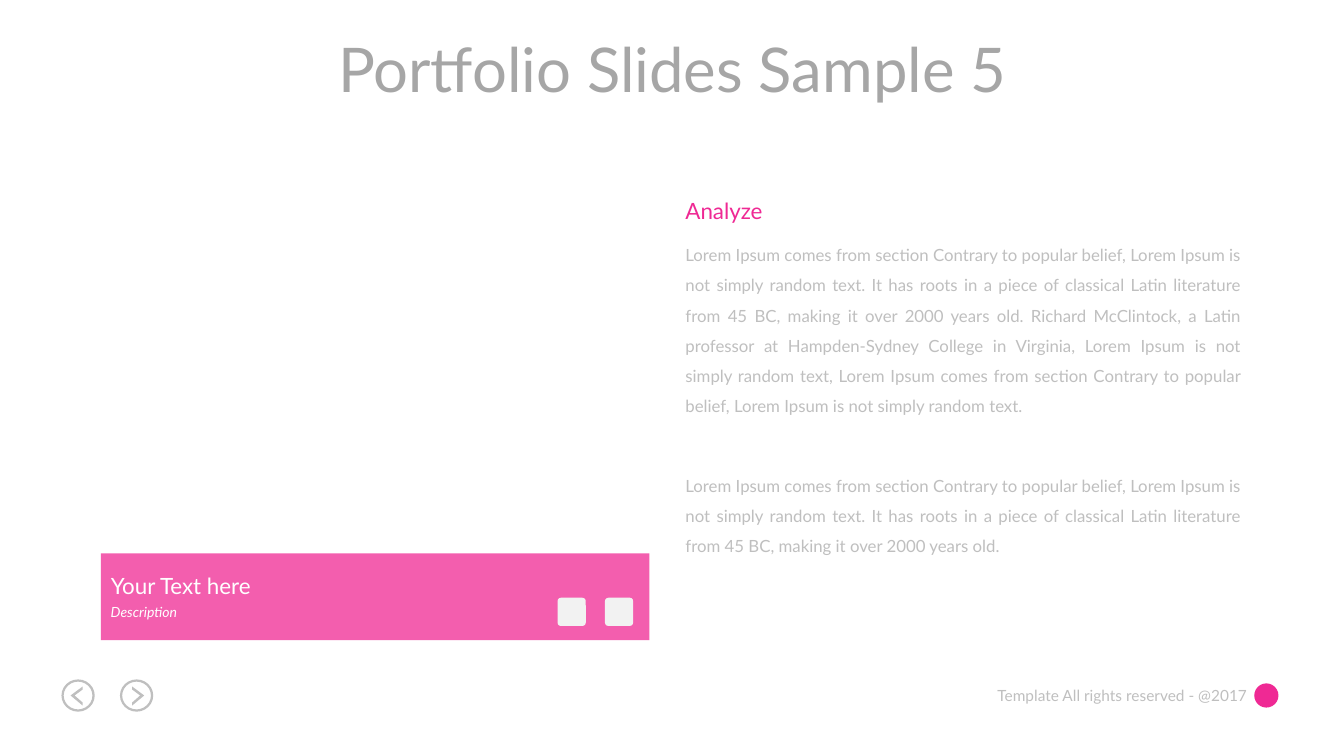
from lxml.etree import SubElement
from pptx import Presentation
from pptx.dml.color import RGBColor
from pptx.enum.shapes import MSO_SHAPE as Preset
from pptx.enum.text import MSO_ANCHOR as Anchor, MSO_AUTO_SIZE as AutoSize, PP_ALIGN as Align
from pptx.oxml.ns import qn
from pptx.util import Inches, Pt

PINK, WHITE, PALE = "EF2994", "FFFFFF", "F2F2F2"
SILVER, GRAY = "BFBFBF", "A6A6A6"
OPENING = (
    "Lorem Ipsum comes from section Contrary to popular belief, Lorem Ipsum is not simply "
    "random text. It has roots in a piece of classical Latin literature from 45 BC, "
    "making it over 2000 years old."
)
CONTINUATION = (
    " Richard McClintock, a Latin professor at Hampden-Sydney College in Virginia, "
    "Lorem Ipsum is not simply random text, Lorem Ipsum comes from section Contrary to "
    "popular belief, Lorem Ipsum is not simply random text."
)


def color(value):
    return RGBColor.from_string(value)


class SlideBuilder:
    """Adds styled elements to the current slide."""

    font = "Lato"

    def __init__(self, page):
        self.page = page

    def fill_text(self, box, text, size, ink, align=Align.LEFT, wrap=False, spacing=1.0,
                  italic=False):
        frame = box.text_frame
        frame.text = text
        frame.word_wrap = wrap
        frame.auto_size = AutoSize.NONE
        frame.vertical_anchor = Anchor.TOP
        para = frame.paragraphs[0]
        para.alignment = align
        para.line_spacing = spacing
        for span in para.runs:
            span.font.name = self.font
            span.font.size = Pt(size)
            span.font.italic = italic
            span.font.color.rgb = color(ink)

    def title(self, text, left, top, width, height):
        box = self.page.shapes.title
        box.left, box.top = Inches(left), Inches(top)
        box.width, box.height = Inches(width), Inches(height)
        self.fill_text(box, text, 44, GRAY, Align.CENTER)

    def text(self, text, left, top, width, height, size, ink, **style):
        box = self.page.shapes.add_textbox(Inches(left), Inches(top), Inches(width), Inches(height))
        self.fill_text(box, text, size, ink, **style)

    def paint(self, shape, fill, opacity=100):
        shape.shadow.inherit = False
        shape.fill.solid()
        shape.fill.fore_color.rgb = color(fill)
        shape.line.fill.background()
        if opacity < 100:
            tint = shape.element.spPr.find(qn("a:solidFill"))[0]
            SubElement(tint, qn("a:alpha"), val=str(opacity * 1000))

    def shape(self, preset, left, top, width, height, fill, opacity=100, adjustment=None):
        shape = self.page.shapes.add_shape(
            preset, Inches(left), Inches(top), Inches(width), Inches(height)
        )
        if adjustment is not None:
            shape.adjustments[0] = adjustment
        self.paint(shape, fill, opacity)

    def outline(self, points, fill):
        corners = [(Inches(x), Inches(y)) for x, y in points]
        builder = self.page.shapes.build_freeform(*corners[0], scale=1.0)
        builder.add_line_segments(corners[1:], close=True)
        self.paint(builder.convert_to_shape(), fill)

    def arrow_button(self, left, tip, direction):
        top, middle = 6.74, 6.9
        self.shape(Preset.DONUT, left, top, 0.33, 0.32, SILVER, adjustment=0.07)
        profile = [(0.12, -0.06), (0.04, 0), (0.12, 0.07), (0.12, 0.1), (0, 0), (0.12, -0.09)]
        self.outline([(tip - direction * x, middle + y) for x, y in profile], SILVER)


def main():
    deck = Presentation()
    deck.slide_width, deck.slide_height = Inches(13.33), Inches(7.5)
    slide = SlideBuilder(deck.slides.add_slide(deck.slide_layouts[5]))

    slide.text("Template All rights reserved - @2017", 9.74, 6.76, 2.73, 0.29, 11, SILVER,
               align=Align.RIGHT)
    slide.arrow_button(0.61, tip=0.7, direction=-1)
    slide.arrow_button(1.19, tip=1.43, direction=1)
    slide.shape(Preset.OVAL, 12.44, 6.78, 0.24, 0.24, PINK)

    slide.title("Portfolio Slides Sample 5", 3, 0.26, 7.34, 0.84)
    slide.text("Analyze", 6.7, 1.91, 0.98, 0.37, 16, PINK)
    for text, top, height in ((OPENING + CONTINUATION, 2.28, 1.92), (OPENING, 4.57, 1.01)):
        slide.text(text, 6.7, top, 5.71, height, 12, SILVER,
                   align=Align.JUSTIFY, wrap=True, spacing=1.5)

    slide.shape(Preset.RECTANGLE, 1, 5.49, 5.44, 0.86, PINK, opacity=75)
    slide.text("Your Text here", 1, 5.63, 1.68, 0.37, 16, WHITE)
    slide.text("Description", 1, 5.94, 0.87, 0.27, 10, WHITE, italic=True)
    for left in (5.53, 6):
        slide.shape(Preset.ROUNDED_RECTANGLE, left, 5.93, 0.28, 0.28, PALE, adjustment=0.12)

    deck.save("out.pptx")


if __name__ == "__main__":
    main()
